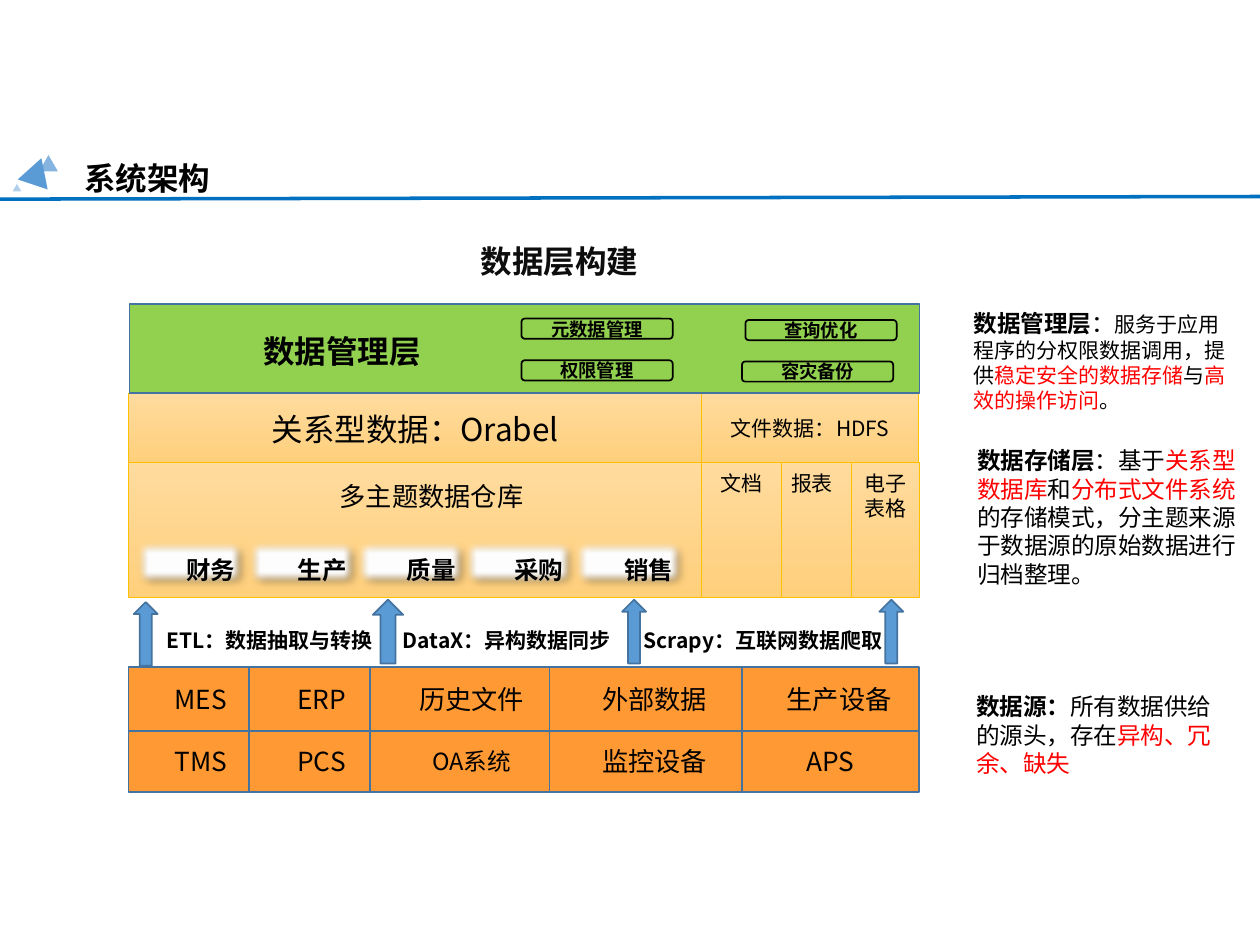
from dataclasses import dataclass
from itertools import pairwise

from lxml import etree
from pptx import Presentation, util as u
from pptx.dml.color import RGBColor
from pptx.enum import shapes, text
from pptx.oxml import ns

Pt = u.Pt
Kind = shapes.MSO_SHAPE
Align = text.PP_ALIGN
Anchor = text.MSO_ANCHOR


@dataclass(frozen=True)
class Theme:
    font: str = "Noto Sans CJK SC"
    ink: str = "000000"
    dark: str = "0D0D0D"
    red: str = "FF0000"
    white: str = "FFFFFF"
    rule: str = "0070C0"
    blue: str = "5B9BD5"
    edge: str = "43739E"
    green: str = "92D050"
    orange: str = "FF9933"
    gold: str = "FFC000"
    sand: tuple = ("FFDB9E", "FFD07C")
    head: float = 18
    cell: float = 15
    tag: float = 14
    body: float = 13.5
    small: float = 12
    pill: float = 10.5
    lead: float = 1.2


T = Theme()


def rgb(code):
    return RGBColor.from_string(code)


def write(shape, runs, size, bold=False, align=Align.LEFT, mid=False,
          wrap=True, color=T.ink, pad=(7.2, 4.5, 7.2, 3.6), lead=None):
    frame = shape.text_frame
    frame.word_wrap = wrap
    frame.vertical_anchor = Anchor.MIDDLE if mid else Anchor.TOP
    frame.margin_left, frame.margin_top, frame.margin_right, frame.margin_bottom = map(Pt, pad)
    para = frame.paragraphs[0]
    para.alignment = align
    if not mid:
        para.line_spacing = Pt(lead or size * T.lead)
    para.font.name = T.font
    if isinstance(runs, str):
        runs = [(runs, size, color, bold)]
    for words, pts, tint, heavy in runs:
        run = para.add_run()
        run.text = words
        font = run.font
        font.size, font.bold, font.name = Pt(pts), heavy, T.font
        font.color.rgb = rgb(tint)
        east = etree.SubElement(font._element, ns.qn("a:ea"))
        east.set("typeface", T.font)


def label(slide, box, runs, size, **style):
    item = slide.shapes.add_textbox(*map(Pt, box))
    write(item, runs, size, **style)
    return item


def block(slide, box, fill, line=None, width=1, kind=Kind.RECTANGLE):
    item = slide.shapes.add_shape(kind, *map(Pt, box))
    item.shadow.inherit = False
    if isinstance(fill, tuple):
        item.fill.gradient()
        item.fill.gradient_angle = 270
        for stop, code in zip(item.fill.gradient_stops, fill):
            stop.color.rgb = rgb(code)
    else:
        item.fill.solid()
        item.fill.fore_color.rgb = rgb(fill)
    if line:
        item.line.color.rgb = rgb(line)
        item.line.width = Pt(width)
    else:
        item.line.fill.background()
    return item


def header(slide, left, top):
    for x, y, w, h, turn, alpha in (
        (22.3, 2.2, 10.8, 9.4, 0, 75),
        (12.2, 3.6, 18, 15.8, 18.5, 100),
        (7.2, 18.7, 5, 4.3, 0, 47),
    ):
        mark = block(slide, (left + x, top + y, w, h), T.blue, kind=Kind.ISOSCELES_TRIANGLE)
        mark.rotation = turn
        if alpha < 100:
            tint = mark.element.find(".//" + ns.qn("a:srgbClr"))
            etree.SubElement(tint, ns.qn("a:alpha")).set("val", str(alpha * 1000))
    label(slide, (left + 41, top, 281, 29), "系统架构", T.head, bold=True)
    rule = slide.shapes.add_connector(
        shapes.MSO_CONNECTOR.STRAIGHT, Pt(left - 1.4), Pt(top + 27.4), Pt(left + 720), Pt(top + 25.9))
    rule.line.color.rgb = rgb(T.rule)
    rule.line.width = Pt(2)
    etree.SubElement(rule.element.spPr, ns.qn("a:effectLst"))


def manage(slide, left, top, width, height):
    block(slide, (left, top, width, height), T.green, T.edge)
    for x, y, name in ((224, 8.6, "元数据管理"), (224, 32.4, "权限管理"),
                       (350, 33.1, "容灾备份"), (352, 9.4, "查询优化")):
        pill = block(slide, (left + x, top + y, 86.4, 11.5), T.green, T.ink, kind=Kind.ROUNDED_RECTANGLE)
        write(pill, name, T.pill, bold=True, align=Align.CENTER, mid=True, pad=(0, 0, 0, 0))
    label(slide, (left + 50, top + 11.5, 142.6, 29), "数据管理层", T.head,
          bold=True, align=Align.CENTER)


def store(slide, left, top):
    row, deep, main = 39.6, 77, 327.5
    for x, y, w, h, name, size, mid in (
        (0, 0, main, row, "关系型数据：Orabel", T.head, True),
        (main, 0, 124, row, "文件数据：HDFS", T.small, True),
        (main + 40, row, 46, deep, "报表", T.small, False),
        (main + 85.5, row, 39, deep, "电子表格", T.small, False),
        (main, row, 45.4, deep, "文档", T.small, False),
        (0, row, main, deep, "", T.small, False),
    ):
        part = block(slide, (left + x, top + y, w, h), T.sand, T.gold, 0.5)
        if name:
            write(part, name, size, align=Align.CENTER, mid=mid)
    label(slide, (left + 113.5, top + 45.4, 137, 25), "多主题数据仓库", T.cell)
    for x, name in zip((2, 66, 128, 189.5, 252.5), ("财务", "生产", "质量", "采购", "销售")):
        chip(slide, left + x, top + 82, name)


def chip(slide, left, top, name):
    card = block(slide, (left, top, 66.2, 29.5), T.white)
    glow = card.element.spPr.find(ns.qn("a:effectLst"))
    cast = etree.SubElement(glow, ns.qn("a:outerShdw"), blurRad="50800", dist="38100", dir="2700000")
    tint = etree.SubElement(cast, ns.qn("a:srgbClr"), val=T.ink)
    etree.SubElement(tint, ns.qn("a:alpha"), val="40000")
    etree.SubElement(glow, ns.qn("a:softEdge"), rad="63500")
    label(slide, (left + 23.7, top + 5.8, 42.5, 24.5), name, T.tag, bold=True, wrap=False)


def flow(slide, left, top):
    for x, y, w in ((2.9, 1.4, 13.7), (139.6, 0, 17.3), (282, 0, 13.7), (429, 0, 13.7)):
        block(slide, (left + x, top + y, w, 36.4), T.blue, T.edge, kind=Kind.UP_ARROW)
    for x, w, name in ((-32.4, 226, "ETL：数据抽取与转换"), (103, 226, "DataX：异构数据同步"),
                       (283.5, 158, "Scrapy：互联网数据爬取")):
        label(slide, (left + x, top + 12.6, w, 20), name, T.small, bold=True,
              align=Align.CENTER, pad=(5, 3.6, 5, 2.9))


def source(slide, left, top):
    cols = (0, 69, 138, 240.5, 350.5, 451.5)
    rows = (0, 36.7, 71.5)
    names = (("MES", "ERP", "历史文件", "外部数据", "生产设备"),
             ("TMS", "PCS", "OA系统", "监控设备", "APS"))
    shifts = (13.5, 13.5, 13.5, 10, 10)
    for (y, low), line in zip(pairwise(rows), names):
        for (x, end), name, shift in zip(pairwise(cols), line, shifts):
            cell = block(slide, (left + x, top + y, end - x, low - y), T.orange, T.edge)
            indent = 0 if name == "APS" else shift
            size = T.body if name == "OA系统" else T.cell
            write(cell, name, size, align=Align.CENTER, mid=True, pad=(7.2 + indent, 3.6, 7.2, 3.6))


def notes(slide, left, top):
    def run(words, color=T.ink, size=T.body, bold=False):
        return words, size, color, bold

    small = T.small
    label(slide, (left, top, 163, 67), [
        run("数据管理层", bold=True), run("："),
        run("服务于应用程序的分权限数据调用，提供", size=small),
        run("稳定安全的数据存储", T.red, small), run("与", size=small),
        run("高效的操作访问", T.red, small), run("。", size=small),
    ], small, lead=14.5)
    label(slide, (left + 2, top + 77, 164, 89), [
        run("数据存储层", bold=True), run("：基于"), run("关系型数据库", T.red), run("和"),
        run("分布式文件系统", T.red),
        run("的存储模式，分主题来源于数据源的原始数据进行归档整理。"),
    ], T.body)
    label(slide, (left + 1.4, top + 217.5, 160.5, 56), [
        run("数据源：", bold=True), run("所有数据供给的源头，存在"), run("异构、冗余、缺失", T.red),
    ], T.body)


def main():
    deck = Presentation()
    deck.slide_width, deck.slide_height = Pt(720), Pt(540)
    slide = deck.slides.add_slide(deck.slide_layouts[6])
    header(slide, 0, 86.4)
    label(slide, (267.8, 134, 113, 29), "数据层构建", T.head, bold=True, color=T.dark, wrap=False)
    store(slide, 73.5, 224.6)
    manage(slide, 74, 173.5, 451.5, 51.1)
    source(slide, 73.5, 381)
    flow(slide, 73.5, 342.7)
    notes(slide, 549.4, 173.5)
    deck.save("out.pptx")


if __name__ == "__main__":
    main()
